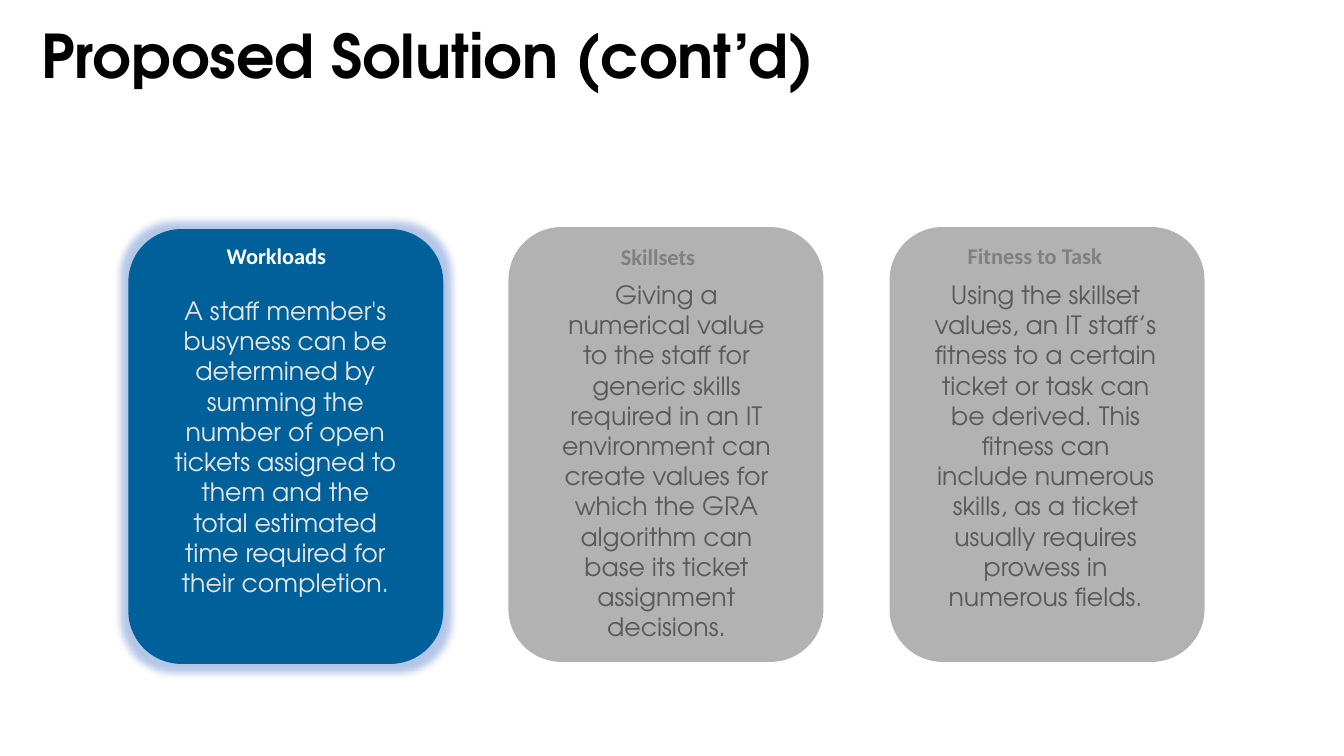
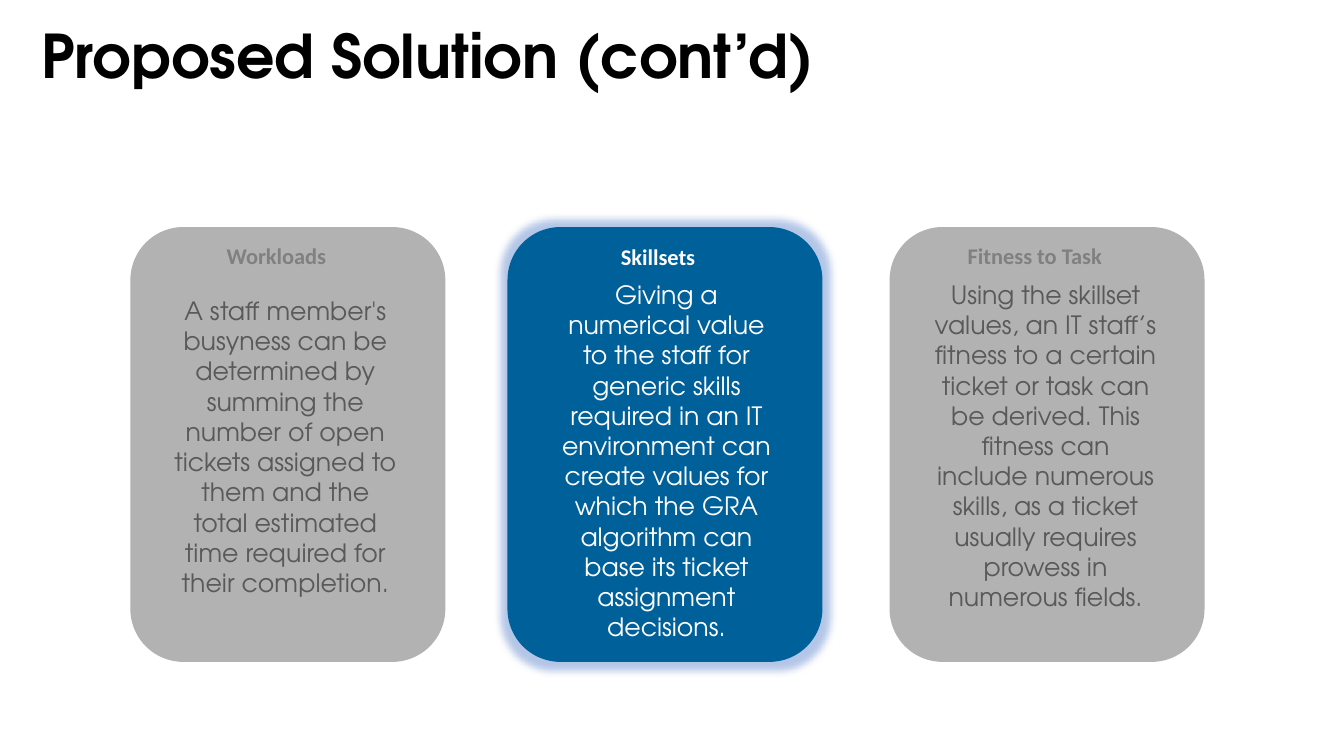
from dataclasses import dataclass

from lxml.etree import SubElement
from pptx import Presentation
from pptx.dml.color import RGBColor
from pptx.enum.shapes import MSO_SHAPE
from pptx.enum.text import MSO_ANCHOR, MSO_AUTO_SIZE, PP_ALIGN
from pptx.oxml.ns import qn
from pptx.util import Emu, Pt

# Shared style
EMU_PER_PX = 9144  # 100 px to the inch
BLUE = RGBColor(0x00, 0x60, 0x9A)
GLOW = RGBColor(0x44, 0x72, 0xC4)
GRAY = RGBColor(0xB2, 0xB2, 0xB2)
HEADING_GRAY = RGBColor(0x80, 0x80, 0x80)
BODY_GRAY = RGBColor(0x59, 0x59, 0x59)
PALE = RGBColor(0xE7, 0xE6, 0xE6)
WHITE = RGBColor(0xFF, 0xFF, 0xFF)
BLACK = RGBColor(0x00, 0x00, 0x00)
DISPLAY_FONT = "TeX Gyre Adventor"
HEADING_FONT = "Calibri"

TITLE = "Proposed Solution (cont’d)"
CARD_TOP, CARD_WIDTH, CARD_HEIGHT = 226, 311, 430
BODY_WIDTH = 240


@dataclass
class Factor:
    heading: str
    body: str
    card_left: int
    heading_box: tuple
    body_box: tuple
    active_color: RGBColor = WHITE
    active_shift: tuple = (0, 0)


FACTORS = [
    Factor("Workloads",
           "A staff member's busyness can be determined by summing the number of "
           "open tickets assigned to them and the total estimated time required "
           "for their completion.",
           130, (215, 235, 138, 37), (163, 288, BODY_WIDTH, 313),
           active_color=PALE, active_shift=(-2, 2)),
    Factor("Skillsets",
           "Giving a numerical value to the staff for generic skills required in "
           "an IT environment can create values for which the GRA algorithm can "
           "base its ticket assignment decisions.",
           505, (606, 236, 110, 37), (541, 272, BODY_WIDTH, 374),
           active_shift=(-1, 0)),
    Factor("Fitness to Task",
           "Using the skillset values, an IT staff’s fitness to a certain ticket "
           "or task can be derived. This fitness can include numerous skills, as "
           "a ticket usually requires prowess in numerous fields.",
           883, (950, 235, 177, 37), (917, 272, BODY_WIDTH, 374)),
]


def px(*lengths):
    return [Emu(length * EMU_PER_PX) for length in lengths]


def style_text(frame, text, font_name, size, color, bold=False, align=PP_ALIGN.LEFT):
    frame.text = text
    paragraph = frame.paragraphs[0]
    paragraph.alignment = align
    font = paragraph.runs[0].font
    font.name, font.size, font.bold = font_name, Pt(size), bold
    font.color.rgb = color


def add_title(slide):
    title = slide.shapes.title
    title.left, title.top, title.width, title.height = px(23, -1, 802, 97)
    frame = title.text_frame
    style_text(frame, TITLE, DISPLAY_FONT, 43, BLACK, True, PP_ALIGN.CENTER)
    frame.auto_size = MSO_AUTO_SIZE.NONE
    frame.vertical_anchor = MSO_ANCHOR.BOTTOM
    frame.paragraphs[0].line_spacing = 0.9


def add_glow(shape):
    effects = shape._element.spPr.find(qn("a:effectLst"))
    glow = SubElement(effects, qn("a:glow"), rad=str(Pt(11)))
    color = SubElement(glow, qn("a:srgbClr"), val=str(GLOW))
    SubElement(color, qn("a:alpha"), val="40000")


def add_card(slide, factor, active):
    shift_x, shift_y = factor.active_shift if active else (0, 0)
    card = slide.shapes.add_shape(
        MSO_SHAPE.ROUNDED_RECTANGLE,
        *px(factor.card_left + shift_x, CARD_TOP + shift_y, CARD_WIDTH, CARD_HEIGHT))
    color = BLUE if active else GRAY
    card.fill.solid()
    card.fill.fore_color.rgb = color
    card.line.color.rgb = color
    card.line.width = Pt(1)
    card.shadow.inherit = False
    if active:
        add_glow(card)


def add_text(slide, box, text, wrap, *style):
    frame = slide.shapes.add_textbox(*px(*box)).text_frame
    frame.word_wrap = wrap
    frame.auto_size = MSO_AUTO_SIZE.SHAPE_TO_FIT_TEXT
    style_text(frame, text, *style)


def add_factor(slide, factor, active):
    add_card(slide, factor, active)
    add_text(slide, factor.heading_box, factor.heading, False,
             HEADING_FONT, 16, WHITE if active else HEADING_GRAY, True)
    add_text(slide, factor.body_box, factor.body, True, DISPLAY_FONT, 18,
             factor.active_color if active else BODY_GRAY, False, PP_ALIGN.CENTER)


def add_factor_slide(deck, active_heading):
    slide = deck.slides.add_slide(deck.slide_layouts.get_by_name("Title Only"))
    add_title(slide)
    for factor in FACTORS:
        add_factor(slide, factor, factor.heading == active_heading)


def main():
    deck = Presentation()
    deck.slide_width, deck.slide_height = px(1333, 750)
    # One slide per highlighted factor
    for active_heading in ("Workloads", "Skillsets"):
        add_factor_slide(deck, active_heading)
    deck.save("out.pptx")


if __name__ == "__main__":
    main()
